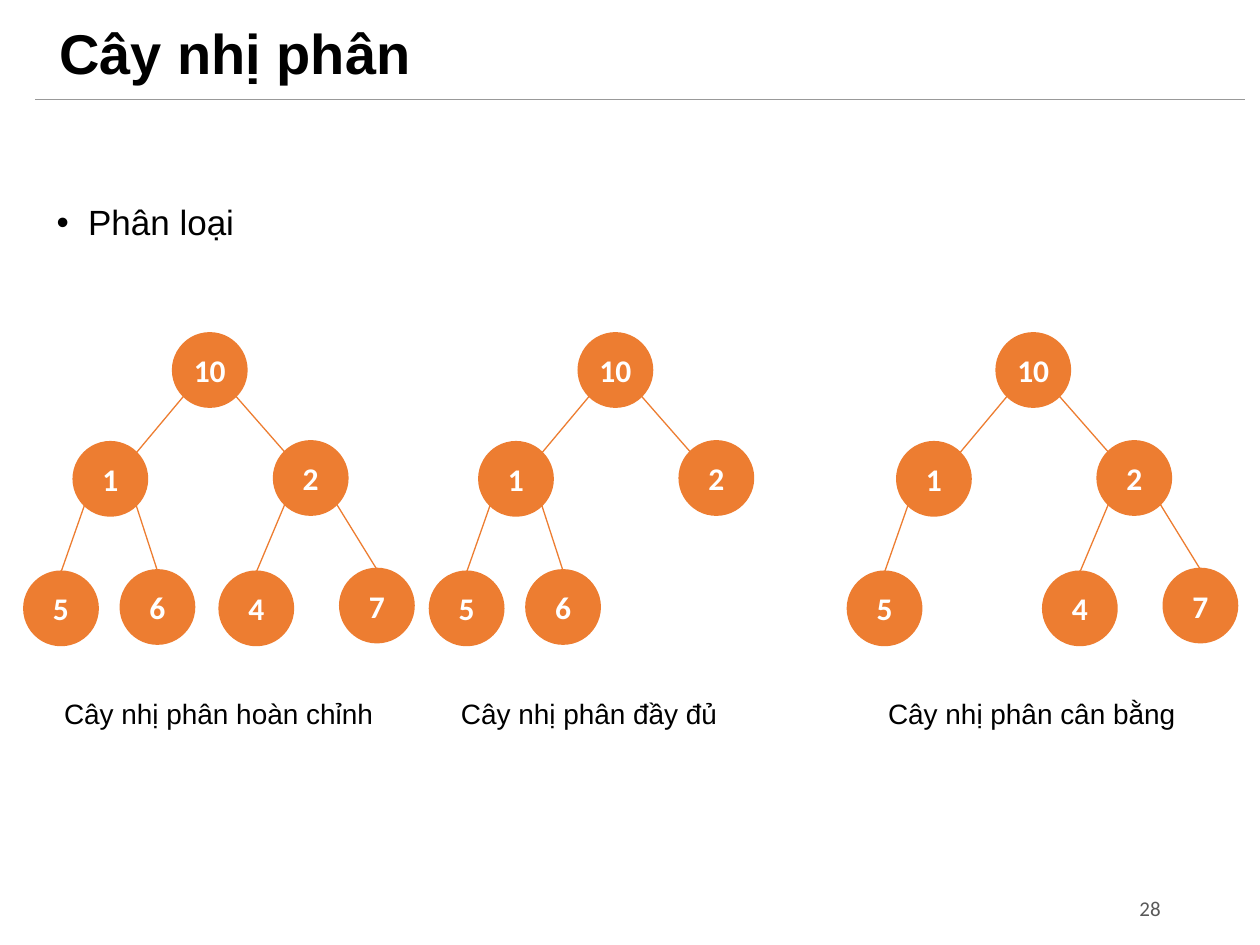
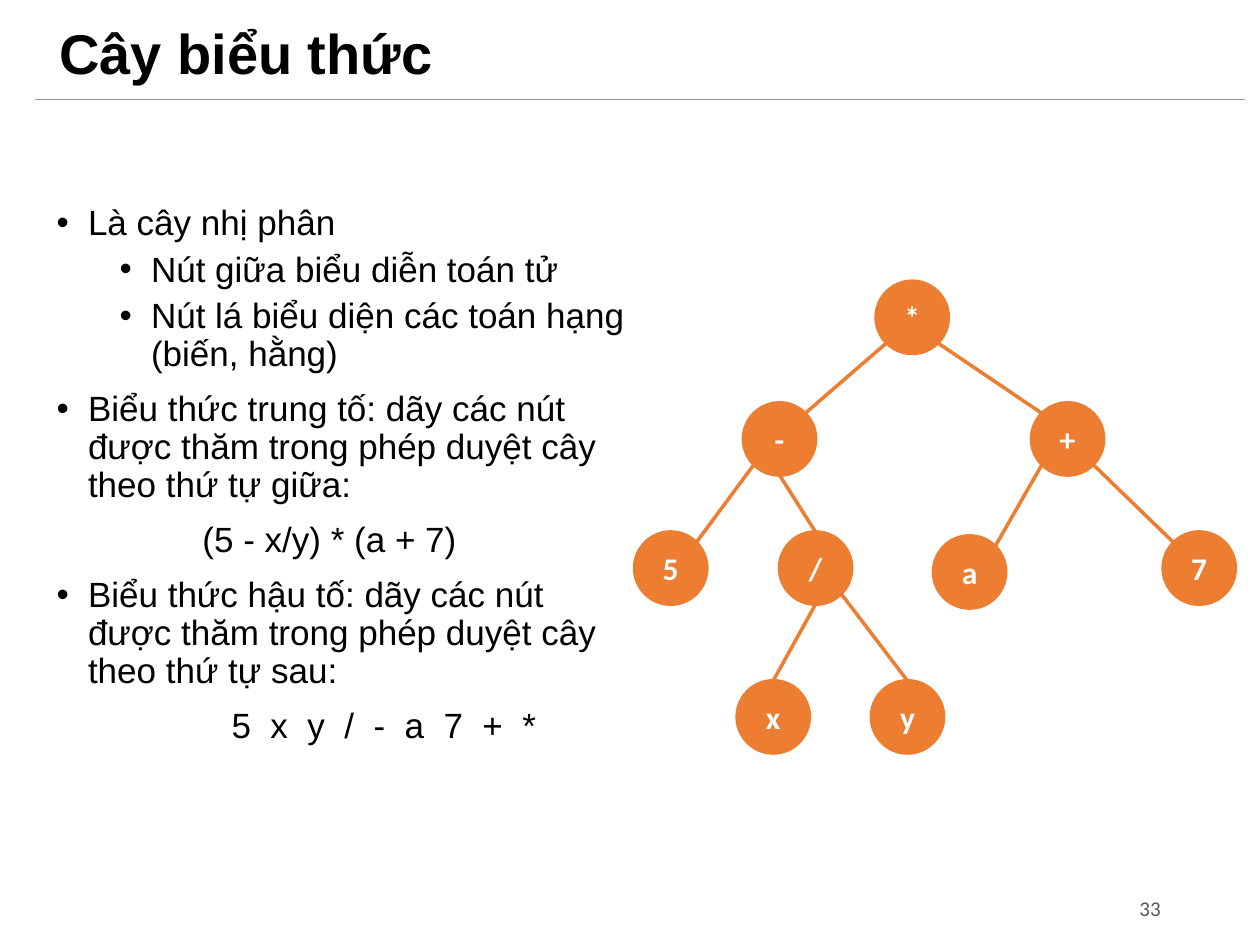
import math
from dataclasses import dataclass
from typing import NamedTuple

import lxml.etree
import pptx
import pptx.dml.color
import pptx.enum.shapes
import pptx.enum.text
import pptx.oxml.ns
import pptx.slide
import pptx.text.text
import pptx.util

Pt = pptx.util.Pt
RGBColor = pptx.dml.color.RGBColor
Align = pptx.enum.text.PP_ALIGN
Anchor = pptx.enum.text.MSO_ANCHOR


@dataclass(frozen=True)
class Theme:
    text: RGBColor = RGBColor.from_string("000000")
    node: RGBColor = RGBColor.from_string("ED7D31")
    node_text: RGBColor = RGBColor.from_string("FFFFFF")
    rule: RGBColor = RGBColor.from_string("999999")
    page_number: RGBColor = RGBColor.from_string("595959")
    body_font: str = "Arial"
    node_font: str = "Calibri"
    title_size: float = 32
    body_size: float = 20
    node_size: float = 18
    caption_size: float = 16
    number_size: float = 12
    thin_line: float = 0.75
    thick_line: float = 2


THEME = Theme()
NODE_DIAMETER = 41.3
# Directions from a node's centre, in degrees clockwise from the right
RIGHT_DOWN, DOWN, LEFT_DOWN, LEFT_UP, UP, RIGHT_UP = 45, 90, 135, 225, 270, 315


class Area(NamedTuple):
    left: float
    top: float
    width: float
    height: float


class Node(NamedTuple):
    left: float
    top: float

    def point(self, angle: float) -> tuple[float, float]:
        """Point on the circle's edge in the given direction."""
        radius = NODE_DIAMETER / 2
        turn = math.radians(angle)
        return (self.left + radius + radius * math.cos(turn),
                self.top + radius + radius * math.sin(turn))


class Edge(NamedTuple):
    parent: str
    leaving: float
    child: str
    arriving: float


class Line(NamedTuple):
    text: str
    level: int = 0
    space_before: float = 10
    formula_indent: float = 0
    tracking: float = 0


class TreeExample(NamedTuple):
    caption: str
    left: float
    caption_left: float
    missing: str


SAMPLE_NODES = {
    "10": Node(85, 190.8),
    "1": Node(28.2, 253), "2": Node(142.7, 252.5),
    "5": Node(0, 327), "6": Node(55.1, 326.2),
    "4": Node(111.6, 327), "7": Node(180.5, 325.4),
}
SAMPLE_EDGES = [
    Edge("10", LEFT_DOWN, "1", RIGHT_UP), Edge("10", RIGHT_DOWN, "2", LEFT_UP),
    Edge("1", LEFT_DOWN, "5", UP), Edge("1", RIGHT_DOWN, "6", UP),
    Edge("2", LEFT_DOWN, "4", UP), Edge("2", RIGHT_DOWN, "7", UP),
]
TREE_EXAMPLES = [
    TreeExample("Cây nhị phân hoàn chỉnh", 14.2, 29.5, ""),
    TreeExample("Cây nhị phân đầy đủ", 246, 256.3, "47"),
    TreeExample("Cây nhị phân cân bằng", 484.8, 500.4, "6"),
]
EXPRESSION_NODES = {
    "*": Node(500.6, 160.7),
    "-": Node(424.8, 230.2), "+": Node(589.4, 230.2),
    "5": Node(362.6, 304), "/": Node(445.4, 304),
    "a": Node(533.4, 306.2), "7": Node(664.6, 304),
    "x": Node(421.2, 389), "y": Node(497.9, 389),
}
EXPRESSION_EDGES = [
    Edge("*", LEFT_DOWN, "-", RIGHT_UP), Edge("*", RIGHT_DOWN, "+", LEFT_UP),
    Edge("-", LEFT_DOWN, "5", RIGHT_UP), Edge("-", DOWN, "/", UP),
    Edge("+", LEFT_DOWN, "a", RIGHT_UP), Edge("+", RIGHT_DOWN, "7", LEFT_UP),
    Edge("/", DOWN, "x", UP), Edge("/", RIGHT_DOWN, "y", UP),
]
EXPRESSION_LINES = [
    Line("Là cây nhị phân", space_before=0),
    Line("Nút giữa biểu diễn toán tử", level=1, space_before=5),
    Line("Nút lá biểu diện các toán hạng (biến, hằng)", level=1, space_before=5),
    Line("Biểu thức trung tố: dãy các nút được thăm trong phép duyệt cây "
         "theo thứ tự giữa:"),
    Line("(5 - x/y) * (a + 7)", formula_indent=83.4),
    Line("Biểu thức hậu tố: dãy các nút được thăm trong phép duyệt cây "
         "theo thứ tự sau:"),
    Line("5 x y / - a 7 + *", formula_indent=100, tracking=2.78),
]


def format_spans(para: pptx.text.text._Paragraph, size: float,
                 color: RGBColor = THEME.text, name: str = THEME.body_font,
                 bold: bool = False) -> None:
    for span in para.runs:
        span.font.size = Pt(size)
        span.font.name = name
        span.font.bold = bold
        span.font.color.rgb = color


def add_text_box(page: pptx.slide.Slide, area: Area, text: str = ""):
    box = page.shapes.add_textbox(*map(Pt, area))
    box.text_frame.word_wrap = True
    box.text_frame.text = text
    return box


def add_line(page: pptx.slide.Slide, start: tuple[float, float],
             end: tuple[float, float], color: RGBColor, width: float) -> None:
    line = page.shapes.add_connector(
        pptx.enum.shapes.MSO_CONNECTOR.STRAIGHT, *map(Pt, (*start, *end)))
    line.line.color.rgb = color
    line.line.width = Pt(width)
    lxml.etree.SubElement(line._element.spPr, pptx.oxml.ns.qn("a:effectLst"))


def add_page(deck, title: str, number: int) -> pptx.slide.Slide:
    """Add a slide with the shared title, rule and page number."""
    page = deck.slides.add_slide(deck.slide_layouts.get_by_name("Title Only"))
    box = page.shapes.title
    box.left, box.top, box.width, box.height = map(Pt, (26.6, 9.4, 657.4, 45.4))
    frame = box.text_frame
    frame.text = title
    frame.auto_size = pptx.enum.text.MSO_AUTO_SIZE.NONE
    frame.vertical_anchor = Anchor.MIDDLE
    para = frame.paragraphs[0]
    para.alignment = Align.LEFT
    para.line_spacing = 0.9
    format_spans(para, THEME.title_size, bold=True)
    add_line(page, (20.2, 56.9), (711.4, 56.9), THEME.rule, THEME.thin_line)

    box = add_text_box(page, Area(580.3, 504.7, 90, 28.8), str(number))
    box.text_frame.vertical_anchor = Anchor.MIDDLE
    para = box.text_frame.paragraphs[0]
    para.alignment = Align.RIGHT
    format_spans(para, THEME.number_size, THEME.page_number, THEME.node_font)
    return page


def set_bullet(para: pptx.text.text._Paragraph, level: int) -> None:
    para.level = level
    properties = para._p.get_or_add_pPr()
    properties.set("marL", str(Pt(18 + 36 * level)))
    properties.set("indent", str(Pt(-18)))
    qn = pptx.oxml.ns.qn
    bullet_color = lxml.etree.SubElement(properties, qn("a:buClr"))
    lxml.etree.SubElement(bullet_color, qn("a:srgbClr"), val=str(THEME.text))
    lxml.etree.SubElement(properties, qn("a:buFont"), typeface=THEME.body_font)
    lxml.etree.SubElement(properties, qn("a:buChar"), char="•")


def add_body(page: pptx.slide.Slide, width: float, lines: list[Line]) -> None:
    frame = add_text_box(page, Area(25.2, 113.8, width, 393.8)).text_frame
    for index, line in enumerate(lines):
        para = frame.add_paragraph() if index else frame.paragraphs[0]
        para.text = line.text
        para.line_spacing = 0.9
        if line.space_before:
            para.space_before = Pt(line.space_before)
        if line.formula_indent:
            para._p.get_or_add_pPr().set("marL", str(Pt(line.formula_indent)))
        else:
            set_bullet(para, line.level)
        format_spans(para, THEME.body_size)
        if line.tracking:
            for span in para.runs:
                span._r.get_or_add_rPr().set("spc", str(round(line.tracking * 100)))


def add_node(page: pptx.slide.Slide, label: str, node: Node) -> None:
    shape = page.shapes.add_shape(
        pptx.enum.shapes.MSO_SHAPE.FLOWCHART_CONNECTOR,
        *map(Pt, (*node, NODE_DIAMETER, NODE_DIAMETER)))
    shape.shadow.inherit = False
    shape.fill.solid()
    shape.fill.fore_color.rgb = THEME.node
    shape.line.color.rgb = THEME.node
    shape.line.width = Pt(THEME.thick_line)
    frame = shape.text_frame
    frame.margin_left = frame.margin_right = frame.margin_top = frame.margin_bottom = 0
    frame.vertical_anchor = Anchor.MIDDLE
    frame.text = label
    frame.paragraphs[0].alignment = Align.CENTER
    format_spans(frame.paragraphs[0], THEME.node_size, THEME.node_text,
                 THEME.node_font, bold=True)


def add_tree(page: pptx.slide.Slide, nodes: dict[str, Node],
             edges: list[Edge], line_width: float) -> None:
    """Draw the nodes, and each edge whose two ends are present."""
    for label, node in nodes.items():
        add_node(page, label, node)
    for edge in edges:
        if edge.parent in nodes and edge.child in nodes:
            add_line(page, nodes[edge.parent].point(edge.leaving),
                     nodes[edge.child].point(edge.arriving), THEME.node, line_width)


def add_tree_kinds_page(deck) -> None:
    page = add_page(deck, "Cây nhị phân", 28)
    add_body(page, 663, [Line("Phân loại", space_before=0)])
    for example in TREE_EXAMPLES:
        nodes = {label: Node(example.left + node.left, node.top)
                 for label, node in SAMPLE_NODES.items()
                 if label not in example.missing}
        add_tree(page, nodes, SAMPLE_EDGES, THEME.thin_line)
        box = add_text_box(page, Area(example.caption_left, 394.6, 200.2, 26.6),
                           example.caption)
        format_spans(box.text_frame.paragraphs[0], THEME.caption_size)


def add_expression_page(deck) -> None:
    page = add_page(deck, "Cây biểu thức", 33)
    add_body(page, 339.8, EXPRESSION_LINES)
    add_tree(page, EXPRESSION_NODES, EXPRESSION_EDGES, THEME.thick_line)


def main() -> None:
    deck = pptx.Presentation()
    deck.slide_width, deck.slide_height = Pt(720), Pt(540)
    add_tree_kinds_page(deck)
    add_expression_page(deck)
    deck.save("out.pptx")


if __name__ == "__main__":
    main()
